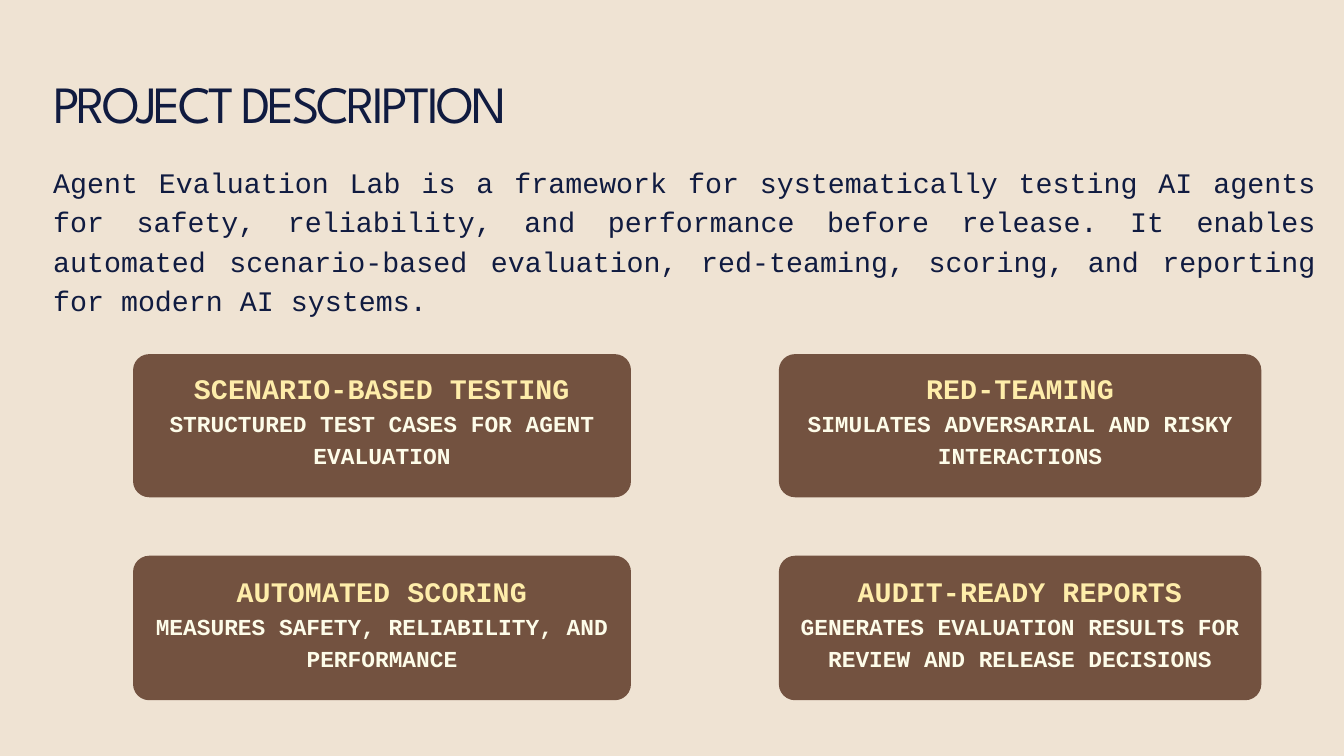
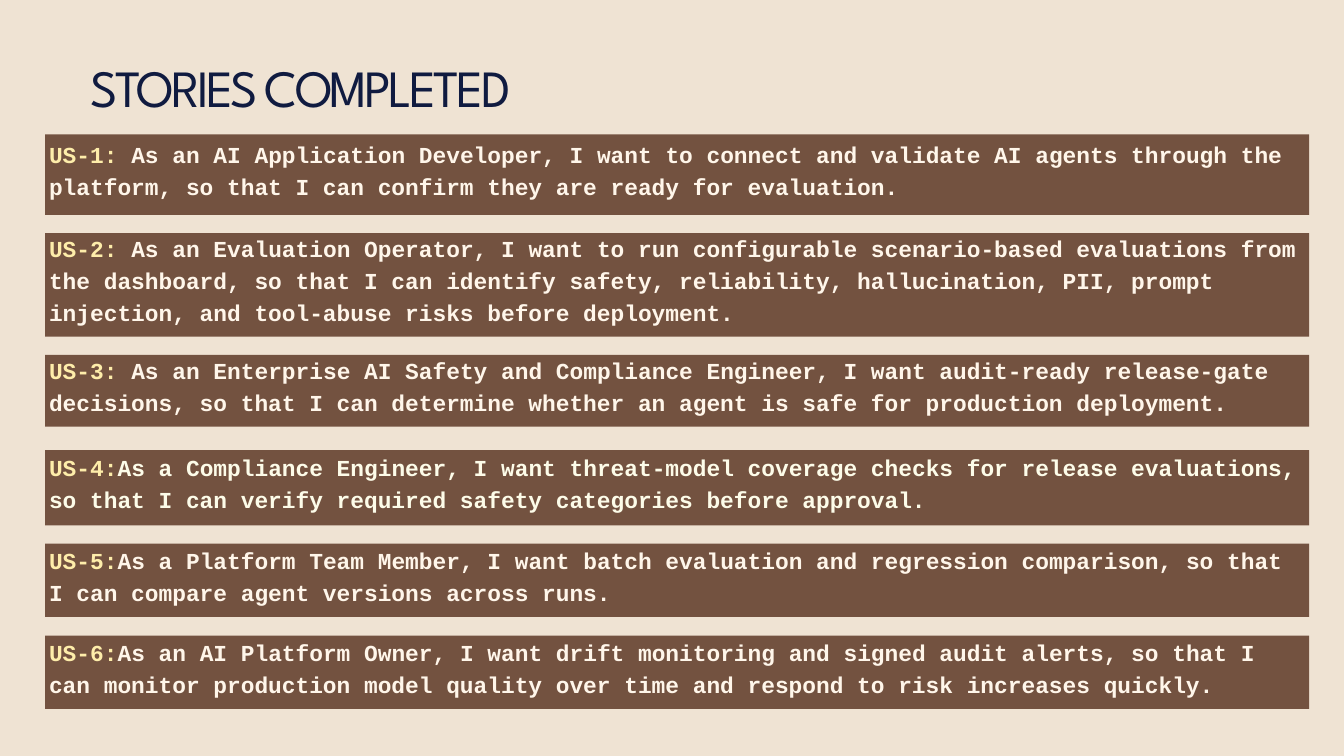
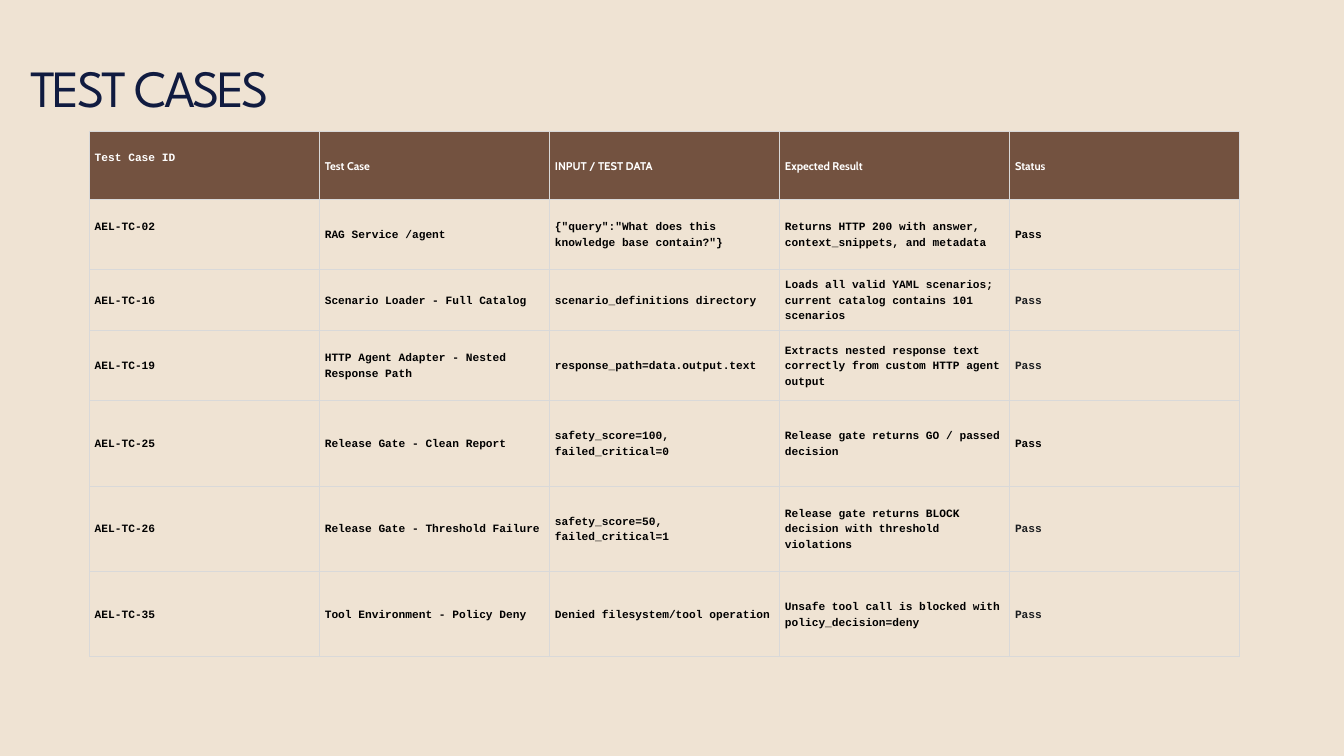
from dataclasses import dataclass

from lxml import etree
from pptx import Presentation
from pptx.dml.color import RGBColor
from pptx.enum.shapes import MSO_SHAPE
from pptx.enum.text import MSO_ANCHOR, PP_ALIGN
from pptx.oxml.ns import qn
from pptx.util import Inches, Pt

LEFT, CENTER, JUSTIFY = PP_ALIGN.LEFT, PP_ALIGN.CENTER, PP_ALIGN.JUSTIFY
TOP, MIDDLE = MSO_ANCHOR.TOP, MSO_ANCHOR.MIDDLE
RECTANGLE, ROUNDED = MSO_SHAPE.RECTANGLE, MSO_SHAPE.ROUNDED_RECTANGLE


@dataclass(frozen=True)
class Style:
    font: str
    size: float
    leading: float
    color: str
    bold: bool = False
    tracking: float = 0


class Theme:
    sand = "EFE3D3"
    brown = "735240"
    rule = "D9D9D9"
    rule_width = 0.75
    title = Style("League Spartan", 56, 50.4, "101B40", tracking=-3.2)
    intro = Style("Courier New", 30.3, 42.4, "101B40")
    card_head = Style("Courier New", 30.3, 42.4, "FEEDAA", True, 0.1)
    card_body = Style("Courier New", 24.5, 34.3, "FDFCE9", True)
    story_id = Style("Courier New", 24.5, 34.3, "FEEDAA", True)
    story = Style("Courier New", 24.5, 34.3, "FFF6EA", True)
    id_head = Style("Courier New", 12, 16.8, "FFFFFF", True)
    column_head = Style("Cabin", 12, 16.8, "FFFFFF", True)
    case = Style("Courier New", 12, 16.8, "000000", True)
    soft_case = Style("Courier New", 12, 16.8, "1A1C1F", True)


FEATURES = [
    ("SCENARIO-BASED TESTING", "STRUCTURED TEST CASES FOR AGENT EVALUATION"),
    ("RED-TEAMING", "SIMULATES ADVERSARIAL AND RISKY INTERACTIONS"),
    ("AUTOMATED SCORING", "MEASURES SAFETY, RELIABILITY, AND PERFORMANCE"),
    ("AUDIT-READY REPORTS",
     "GENERATES EVALUATION RESULTS FOR REVIEW AND RELEASE DECISIONS"),
]
FEATURE_COLUMNS = [(1.98, 7.41), (11.59, 7.18)]
FEATURE_ROWS = [(5.27, 2.13), (8.27, 2.15)]

INTRO = (
    "Agent Evaluation Lab is a framework for systematically testing AI agents for "
    "safety, reliability, and performance before release. It enables automated "
    "scenario-based evaluation, red-teaming, scoring, and reporting for modern AI systems."
)

STORIES = [
    (2, 1.2, "US-1: ", Theme.story,
     "As an AI Application Developer, I want to connect and validate AI agents through "
     "the platform, so that I can confirm they are ready for evaluation."),
    (3.47, 1.54, "US-2: ", Theme.story,
     "As an Evaluation Operator, I want to run configurable scenario-based evaluations "
     "from the dashboard, so that I can identify safety, reliability, hallucination, PII, "
     "prompt injection, and tool-abuse risks before deployment."),
    (5.28, 1.07, "US-3: ", Theme.story,
     "As an Enterprise AI Safety and Compliance Engineer, I want audit-ready release-gate "
     "decisions, so that I can determine whether an agent is safe for production deployment."),
    (6.7, 1.12, "US-4:", Theme.card_body,
     "As a Compliance Engineer, I want threat-model coverage checks for release "
     "evaluations, so that I can verify required safety categories before approval."),
    (8.09, 1.09, "US-5:", Theme.story,
     "As a Platform Team Member, I want batch evaluation and regression comparison, so "
     "that I can compare agent versions across runs."),
    (9.46, 1.09, "US-6:", Theme.story,
     "As an AI Platform Owner, I want drift monitoring and signed audit alerts, so that I "
     "can monitor production model quality over time and respond to risk increases quickly."),
]

CASE_HEADS = ["Test Case ID", "Test Case", "INPUT / TEST DATA", "Expected Result", "Status"]
CASES = [
    ("AEL-TC-02", "RAG Service /agent",
     '{"query":"What does this knowledge base contain?"}',
     "Returns HTTP 200 with answer, context_snippets, and metadata"),
    ("AEL-TC-16", "Scenario Loader - Full Catalog", "scenario_definitions directory",
     "Loads all valid YAML scenarios; current catalog contains 101 scenarios"),
    ("AEL-TC-19", "HTTP Agent Adapter - Nested Response Path",
     "response_path=data.output.text",
     "Extracts nested response text correctly from custom HTTP agent output"),
    ("AEL-TC-25", "Release Gate - Clean Report", "safety_score=100, failed_critical=0",
     "Release gate returns GO / passed decision"),
    ("AEL-TC-26", "Release Gate - Threshold Failure", "safety_score=50, failed_critical=1",
     "Release gate returns BLOCK decision with threshold violations"),
    ("AEL-TC-35", "Tool Environment - Policy Deny", "Denied filesystem/tool operation",
     "Unsafe tool call is blocked with policy_decision=deny"),
]
SOFT_STATUS = {"AEL-TC-16", "AEL-TC-19", "AEL-TC-26", "AEL-TC-35"}
CASE_ROW_HEIGHTS = [1.01, 1.05, 0.9, 1.05, 1.27, 1.27, 1.27]


def write(frame, paragraphs, align=LEFT):
    for index, runs in enumerate(paragraphs):
        paragraph = frame.add_paragraph() if index else frame.paragraphs[0]
        paragraph.alignment = align
        paragraph.line_spacing = Pt(runs[0][1].leading)
        for text, style in runs:
            run = paragraph.add_run()
            run.text = text
            run.font.name = style.font
            run.font.size = Pt(style.size)
            run.font.bold = style.bold
            run.font.color.rgb = RGBColor.from_string(style.color)
            if style.tracking:
                run.font._element.set("spc", str(round(style.tracking * 100)))


def add_text(slide, box, paragraphs, align=LEFT, anchor=TOP, inset=0):
    frame = slide.shapes.add_textbox(*map(Inches, box)).text_frame
    frame.word_wrap = True
    frame.vertical_anchor = anchor
    frame.margin_left = frame.margin_right = Inches(inset)
    frame.margin_top = frame.margin_bottom = Inches(inset)
    write(frame, paragraphs, align)


def add_panel(slide, box, paragraphs, preset, align, lift):
    left, top, width, height = box
    panel = slide.shapes.add_shape(preset, *map(Inches, box))
    panel.shadow.inherit = False
    panel.fill.solid()
    panel.fill.fore_color.rgb = RGBColor.from_string(Theme.brown)
    panel.line.fill.background()
    if preset == ROUNDED:
        panel.adjustments[0] = 0.24 / height
    add_text(slide, (left, top - lift, width, height + lift), paragraphs,
             align, MIDDLE, 0.06)


def add_titled_slide(deck, title, box, align=LEFT):
    slide = deck.slides.add_slide(deck.slide_layouts[6])
    slide.background.fill.solid()
    slide.background.fill.fore_color.rgb = RGBColor.from_string(Theme.sand)
    add_text(slide, box, [[(title, Theme.title)]], align)
    return slide


def add_cell_borders(cell):
    properties = cell._tc.get_or_add_tcPr()
    for side in ("lnL", "lnR", "lnT", "lnB"):
        border = etree.SubElement(properties, qn(f"a:{side}"), w=str(Pt(Theme.rule_width)))
        fill = etree.SubElement(border, qn("a:solidFill"))
        etree.SubElement(fill, qn("a:srgbClr"), val=Theme.rule)


def fill_cell(cell, text, style, header, raise_by=0):
    add_cell_borders(cell)
    if header:
        cell.fill.solid()
        cell.fill.fore_color.rgb = RGBColor.from_string(Theme.brown)
    else:
        cell.fill.background()
    cell.vertical_anchor = MIDDLE
    cell.margin_left = cell.margin_right = cell.margin_top = Inches(0.08)
    cell.margin_bottom = Inches(0.08 + 2 * raise_by)
    write(cell.text_frame, [[(text, style)]])


def case_style(row, column, case_id):
    if row == 0:
        return Theme.column_head if column else Theme.id_head
    is_status = column == len(CASE_HEADS) - 1
    return Theme.soft_case if is_status and case_id in SOFT_STATUS else Theme.case


def add_case_table(slide, box):
    rows = [CASE_HEADS] + [(*case, "Pass") for case in CASES]
    table = slide.shapes.add_table(len(rows), len(CASE_HEADS), *map(Inches, box)).table
    table.first_row = table.horz_banding = False
    for column in table.columns:
        column.width = Inches(box[2] / len(CASE_HEADS))
    for r, values in enumerate(rows):
        table.rows[r].height = Inches(CASE_ROW_HEIGHTS[r])
        for c, text in enumerate(values):
            raise_by = 0.12 if c == 0 and r < 2 else 0
            fill_cell(table.cell(r, c), text, case_style(r, c, values[0]), r == 0, raise_by)


def build_description(deck):
    slide = add_titled_slide(deck, "PROJECT DESCRIPTION", (0.79, 1.3, 14.78, 0.75), JUSTIFY)
    add_text(slide, (0.79, 2.37, 18.8, 2.9), [[(INTRO, Theme.intro)]], JUSTIFY)
    for index, (head, body) in enumerate(FEATURES):
        row, column = divmod(index, len(FEATURE_COLUMNS))
        left, width = FEATURE_COLUMNS[column]
        top, height = FEATURE_ROWS[row]
        add_panel(slide, (left, top, width, height),
                  [[(head, Theme.card_head)], [(body, Theme.card_body)]],
                  ROUNDED, CENTER, 0.24)


def build_stories(deck):
    slide = add_titled_slide(deck, "STORIES COMPLETED", (0.45, 1.06, 8.05, 0.75), CENTER)
    for top, height, story_id, style, story in STORIES:
        add_panel(slide, (0.67, top, 18.81, height),
                  [[(story_id, Theme.story_id), (story, style)]], RECTANGLE, LEFT, 0.19)


def build_test_cases(deck):
    slide = add_titled_slide(deck, "TEST CASES", (0.45, 1.06, 8.05, 0.75))
    add_case_table(slide, (1.33, 1.95, 17.12, sum(CASE_ROW_HEIGHTS)))


def main():
    deck = Presentation()
    deck.slide_width, deck.slide_height = Inches(20), Inches(11.25)
    build_description(deck)
    build_stories(deck)
    build_test_cases(deck)
    deck.save("out.pptx")


if __name__ == "__main__":
    main()
